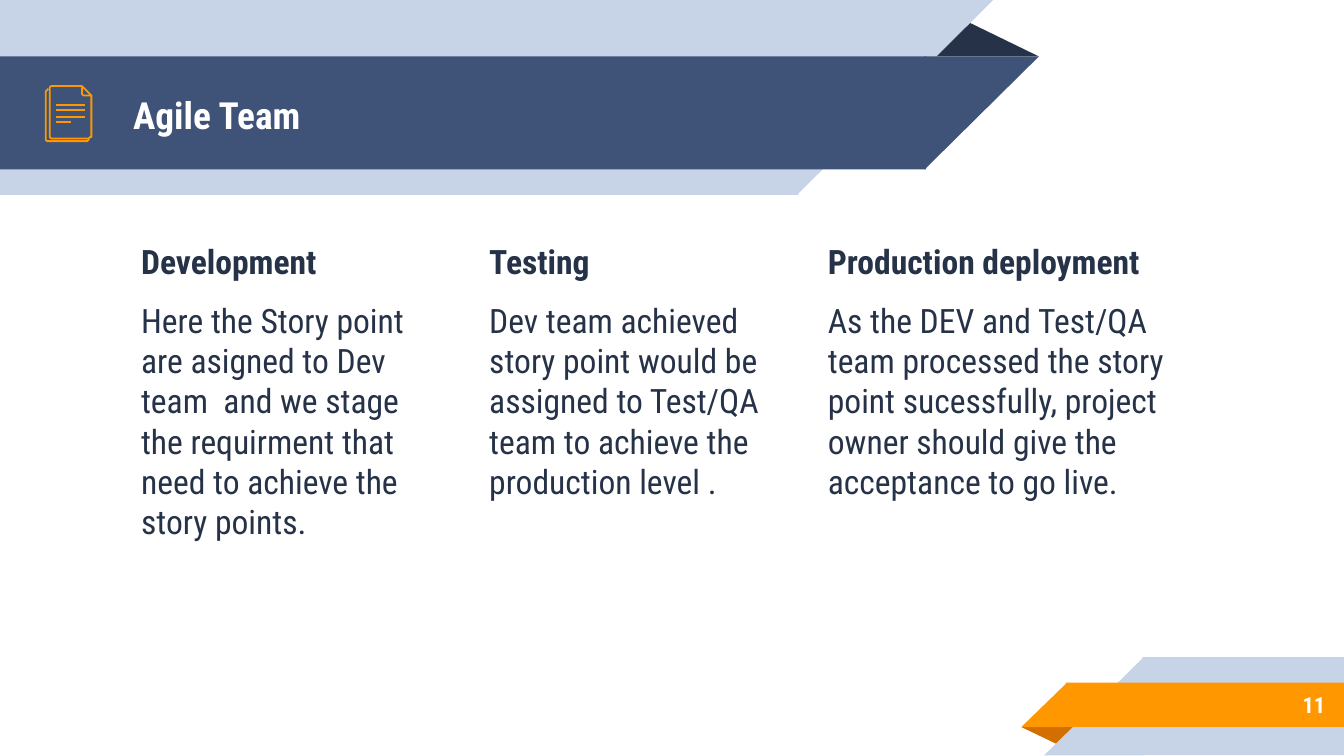
from dataclasses import dataclass
from typing import NamedTuple

from lxml.etree import SubElement
from pptx import Presentation
from pptx.dml.color import RGBColor
from pptx.enum.shapes import MSO_CONNECTOR, MSO_SHAPE as Preset
from pptx.enum.text import MSO_ANCHOR as Anchor, MSO_AUTO_SIZE as AutoSize, PP_ALIGN as Align
from pptx.oxml.ns import qn
from pptx.util import Inches, Pt


@dataclass(frozen=True)
class Theme:
    font: str = "Roboto Condensed"
    pale: str = "C7D3E6"
    navy: str = "3F5378"
    ink: str = "263248"
    orange: str = "FF9800"
    rust: str = "D26F00"
    white: str = "FFFFFF"
    title_size: float = 20
    body_size: float = 18
    number_size: float = 12
    icon_line: float = 0.96


class Box(NamedTuple):
    left: float
    top: float
    width: float
    height: float


class Band(NamedTuple):
    """A bar with a 45-degree slanted end as wide as the bar is high."""
    bar: Box
    color: str
    slants_right: bool


class Column(NamedTuple):
    left: float
    width: float
    heading: str
    detail: str
    space_after: float = 10


THEME = Theme()
OVERLAP = 0.01  # tucks a slanted end into its bar, so no seam shows

HEADER_BANDS = [
    Band(Box(0, 0, 5.94, 1.45), THEME.pale, True),
    Band(Box(0, 0.42, 6.89, 0.84), THEME.navy, True),
]
FOOTER_BANDS = [
    Band(Box(8.5, 4.89, 1.5, 0.73), THEME.pale, False),
    Band(Box(7.93, 5.08, 2.08, 0.33), THEME.orange, False),
]
COLUMNS = [
    Column(0.95, 2.46, "Development",
           "Here the Story point are asigned to Dev team  and we stage the "
           "requirment that need to achieve the story points."),
    Column(3.54, 2.46, "Testing",
           "Dev team achieved story point would be assigned to Test/QA team "
           "to achieve the production level ."),
    Column(6.06, 2.77, "Production deployment",
           "As the DEV and Test/QA team processed the story point sucessfully, "
           "project owner should give the acceptance to go live.", 0),
]

# Outlines of the document icon
BACK_PAGE = [(0.66, 1.03), (0.66, 1.04), (0.65, 1.05), (0.64, 1.05), (0.36, 1.05),
             (0.35, 1.05), (0.34, 1.04), (0.34, 1.03), (0.34, 0.68), (0.35, 0.67),
             (0.36, 0.66)]
FRONT_PAGE = [(0.68, 0.71), (0.68, 1.01), (0.68, 1.02), (0.67, 1.02), (0.66, 1.03),
              (0.38, 1.03), (0.37, 1.02), (0.37, 1.01), (0.37, 0.66), (0.37, 0.65),
              (0.38, 0.64), (0.61, 0.64)]
FOLDED_CORNER = [(0.61, 0.7), (0.61, 0.64), (0.68, 0.71), (0.63, 0.71), (0.62, 0.71)]


def place(shape, box: Box) -> None:
    shape.left, shape.top, shape.width, shape.height = map(Inches, box)


def add_solid(slide, preset: Preset, box: Box, color: str,
              rotation: float = 0, flip: bool = False):
    solid = slide.shapes.add_shape(preset, *map(Inches, box))
    solid.shadow.inherit = False
    solid.fill.solid()
    solid.fill.fore_color.rgb = RGBColor.from_string(color)
    solid.line.fill.background()
    solid.rotation = rotation
    if flip:
        solid._element.spPr.xfrm.set("flipH", "1")
    return solid


def add_fold(slide, box: Box, color: str, rotation: float = 0) -> None:
    fold = add_solid(slide, Preset.ISOSCELES_TRIANGLE, box, color, rotation)
    fold.adjustments[0] = 0.324


def add_band(slide, band: Band) -> None:
    bar = band.bar
    end_left = (bar.left + bar.width - OVERLAP if band.slants_right
                else bar.left - bar.height)
    end = Box(end_left, bar.top, bar.height + OVERLAP, bar.height)
    rotation = 180 if band.slants_right else 0
    add_solid(slide, Preset.RECTANGLE, bar, band.color, rotation, flip=True)
    add_solid(slide, Preset.RIGHT_TRIANGLE, end, band.color, rotation, flip=True)


def style_icon_line(line) -> None:
    line.color.rgb = RGBColor.from_string(THEME.orange)
    line.width = Pt(THEME.icon_line)


def add_outline(slide, points: list[tuple[float, float]], close: bool = False) -> None:
    start, *rest = [(Inches(x), Inches(y)) for x, y in points]
    builder = slide.shapes.build_freeform(*start)
    builder.add_line_segments(rest, close=close)
    outline = builder.convert_to_shape()
    outline.shadow.inherit = False
    outline.fill.background()
    style_icon_line(outline.line)


def add_rule(slide, left: float, right: float, y: float) -> None:
    rule = slide.shapes.add_connector(
        MSO_CONNECTOR.STRAIGHT, Inches(right), Inches(y), Inches(left), Inches(y))
    SubElement(rule._element.spPr, qn("a:effectLst"))
    style_icon_line(rule.line)


def prepare_frame(frame, anchor: Anchor) -> None:
    frame.word_wrap = True
    frame.auto_size = AutoSize.NONE
    frame.vertical_anchor = anchor
    frame.margin_left = frame.margin_right = Inches(0.1)
    frame.margin_top = frame.margin_bottom = Inches(0.1)


def write(paragraph, text: str, *, size: float, color: str, bold: bool = False,
          align: Align = Align.LEFT, before: float = 0, after: float = 0) -> None:
    paragraph.alignment = align
    paragraph.space_before, paragraph.space_after = Pt(before), Pt(after)
    properties = paragraph._p.get_or_add_pPr()
    properties.set("marL", "0")
    properties.set("indent", "0")
    SubElement(properties, qn("a:buNone"))
    run = paragraph.add_run()
    run.text = text
    run.font.name, run.font.size, run.font.bold = THEME.font, Pt(size), bold
    run.font.color.rgb = RGBColor.from_string(color)


def fill_column(body, column: Column) -> None:
    place(body, Box(column.left, 1.69, column.width, 2.96))
    frame = body.text_frame
    prepare_frame(frame, Anchor.TOP)
    write(frame.paragraphs[0], column.heading, size=THEME.body_size,
          color=THEME.ink, bold=True, before=6)
    write(frame.add_paragraph(), column.detail, size=THEME.body_size,
          color=THEME.ink, before=10, after=column.space_after)


def main() -> None:
    deck = Presentation()
    deck.slide_width = Inches(10)
    deck.slide_height = deck.slide_width * 9 // 16
    slide = deck.slides.add_slide(deck.slide_layouts.get_by_name("Comparison"))
    title, *bodies = list(slide.placeholders)

    # Header and footer ribbons
    add_fold(slide, Box(6.88, 0.14, 0.85, 0.28), THEME.ink)
    for band in HEADER_BANDS:
        add_band(slide, band)
    add_fold(slide, Box(7.6, 5.41, 0.43, 0.14), THEME.rust, rotation=180)
    for band in FOOTER_BANDS:
        add_band(slide, band)

    # Title, brought in front of the ribbons
    slide.shapes._spTree.append(title._element)
    place(title, Box(0.89, 0.43, 5.75, 0.84))
    prepare_frame(title.text_frame, Anchor.MIDDLE)
    write(title.text_frame.paragraphs[0], "Agile Team", size=THEME.title_size,
          color=THEME.white, bold=True)

    # Text columns; the layout's spare placeholder goes
    for body, column in zip(bodies, COLUMNS):
        slide.shapes._spTree.append(body._element)
        fill_column(body, column)
    for spare in bodies[len(COLUMNS):]:
        slide.shapes._spTree.remove(spare._element)

    # Page number
    number = slide.shapes.add_textbox(*map(Inches, Box(8.33, 5.07, 1.63, 0.35)))
    prepare_frame(number.text_frame, Anchor.MIDDLE)
    write(number.text_frame.paragraphs[0], "11", size=THEME.number_size,
          color=THEME.white, bold=True, align=Align.RIGHT)

    # Document icon
    add_outline(slide, BACK_PAGE)
    add_outline(slide, FRONT_PAGE)
    for y, right in ((0.91, 0.53), (0.87, 0.63), (0.82, 0.63), (0.78, 0.63)):
        add_rule(slide, 0.42, right, y)
    add_outline(slide, FOLDED_CORNER, close=True)

    deck.save("out.pptx")


if __name__ == "__main__":
    main()
